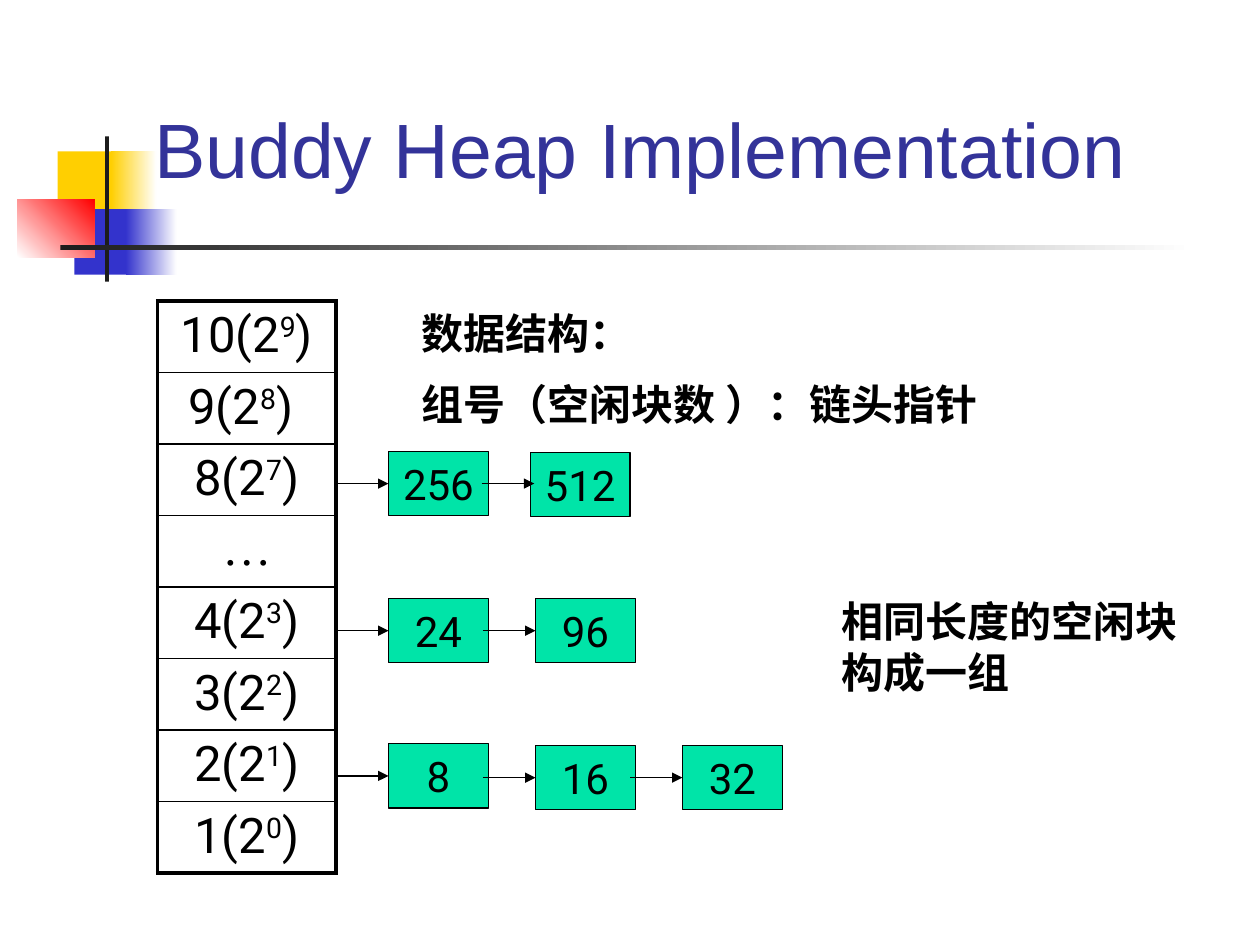
from typing import NamedTuple, Optional

from lxml import etree
from pptx import Presentation
from pptx.dml.color import RGBColor
from pptx.enum.shapes import MSO_CONNECTOR, MSO_SHAPE
from pptx.enum.text import MSO_ANCHOR, PP_ALIGN
from pptx.oxml.ns import qn
from pptx.util import Pt

RECT = MSO_SHAPE.RECTANGLE
STRAIGHT = MSO_CONNECTOR.STRAIGHT
CENTER = PP_ALIGN.CENTER
MIDDLE = MSO_ANCHOR.MIDDLE
LEFT_SIDE = 1

BLACK, WHITE = "000000", "FFFFFF"
YELLOW, BLUE, RED, CHARCOAL = "FFCF01", "3333CC", "FF0000", "1C1C1C"
BLOCK_GREEN, TITLE_BLUE = "00E4A8", "333399"

TABLE_LEFT, TABLE_TOP, TABLE_WIDTH, ROW_HEIGHT = 90, 172, 102, 40.86
BLOCK_LEFT, BLOCK_STEP, BLOCK_WIDTH, BLOCK_HEIGHT = 222, 84, 57, 36.75
ARROW_REACH = 30


class Ornament(NamedTuple):
    left: float
    top: float
    width: float
    height: float
    start: str
    end: Optional[str] = None
    angle: float = 0


class Group(NamedTuple):
    number: str
    exponent: str
    closing: str = ")"


class Block(NamedTuple):
    label: str
    column: int
    top: float
    shift: float = 0
    arrow_overlap: float = 0


class Note(NamedTuple):
    left: float
    top: float
    width: float
    height: float
    lines: tuple[str, ...]


ORNAMENTS = [
    Ornament(33, 86.5, 34.5, 37.5, YELLOW),
    Ornament(63.5, 86.5, 26, 37.5, YELLOW, WHITE),
    Ornament(42.5, 119.5, 33, 37.5, BLUE),
    Ornament(72, 119.5, 29, 37.5, BLUE, WHITE),
    Ornament(10, 114, 44, 33, WHITE, RED, 45),
    Ornament(60, 78, 2.3, 83, CHARCOAL),
    Ornament(34.5, 140.2, 648, 2.4, CHARCOAL, WHITE),
]
GROUPS = [
    Group("10", "9"), Group("9", "8", ") "), Group("8", "7"), None,
    Group("4", "3"), Group("3", "2"), Group("2", "1"), Group("1", "0"),
]
BLOCKS = [
    Block("24", 0, 342), Block("96", 1, 342),
    Block("8", 0, 425), Block("16", 1, 426), Block("32", 2, 426),
    Block("256", 0, 258), Block("512", 1, 258.5, shift=-3, arrow_overlap=2.3),
]
NOTES = [
    Note(234, 172, 438, 79, ("数据结构：", "组号（空闲块数 ）：链头指针")),
    Note(474, 337, 210, 65, ("相同长度的空闲块构成一组",)),
]


def rgb(value: str) -> RGBColor:
    return RGBColor.from_string(value)


def style(font, size: float, color: str = BLACK, name: str = "Roboto", bold: bool = False) -> None:
    font.size, font.name, font.bold = Pt(size), name, bold
    font.color.rgb = rgb(color)


def draw_ornament(shapes, item: Ornament) -> None:
    patch = shapes.add_shape(RECT, Pt(item.left), Pt(item.top), Pt(item.width), Pt(item.height))
    patch.shadow.inherit = False
    patch.line.fill.background()
    if item.end is None:
        patch.fill.solid()
        patch.fill.fore_color.rgb = rgb(item.start)
        return
    patch.fill.gradient()
    patch.fill.gradient_angle = item.angle
    for stop, color, position in zip(patch.fill.gradient_stops, (item.start, item.end), (0, 1)):
        stop.color.rgb = rgb(color)
        stop.position = position


def set_borders(cell, widths: dict[str, float]) -> None:
    """Put black edges on a cell, ahead of its fill as the schema requires."""
    properties = cell._tc.get_or_add_tcPr()
    for index, (side, width) in enumerate(widths.items()):
        edge = etree.Element(qn(f"a:ln{side}"), w=str(Pt(width)))
        fill = etree.SubElement(edge, qn("a:solidFill"))
        etree.SubElement(fill, qn("a:srgbClr"), val=BLACK)
        properties.insert(index, edge)


def draw_group_table(shapes) -> None:
    count = len(GROUPS)
    frame = shapes.add_table(count, 1, Pt(TABLE_LEFT), Pt(TABLE_TOP),
                             Pt(TABLE_WIDTH), Pt(ROW_HEIGHT * count))
    table = frame.table
    table.first_row = table.horz_banding = False
    for index, group in enumerate(GROUPS):
        table.rows[index].height = Pt(ROW_HEIGHT)
        cell = table.cell(index, 0)
        cell.fill.background()
        set_borders(cell, {"L": 2.25, "R": 2.25,
                           "T": 2.25 if index == 0 else 1,
                           "B": 2.25 if index == count - 1 else 1})
        paragraph = cell.text_frame.paragraphs[0]
        paragraph.alignment = CENTER
        if group is None:
            paragraph.text = "…"
            style(paragraph.runs[0].font, 28, name="Times New Roman")
            continue
        for text in (f"{group.number}(2", group.exponent, group.closing):
            run = paragraph.add_run()
            run.text = text
            style(run.font, 28)
        paragraph.runs[1]._r.get_or_add_rPr().set("baseline", "30000")


def draw_block(shapes, block: Block) -> None:
    """Draw a free block and the arrow that leads to it."""
    left = BLOCK_LEFT + block.column * BLOCK_STEP + block.shift
    box = shapes.add_shape(RECT, Pt(left), Pt(block.top), Pt(BLOCK_WIDTH), Pt(BLOCK_HEIGHT))
    box.shadow.inherit = False
    box.fill.solid()
    box.fill.fore_color.rgb = rgb(BLOCK_GREEN)
    box.line.color.rgb = rgb(BLACK)
    box.line.width = Pt(0.75)
    frame = box.text_frame
    frame.word_wrap = False
    frame.vertical_anchor = MIDDLE
    frame.text = block.label
    frame.paragraphs[0].alignment = CENTER
    style(frame.paragraphs[0].runs[0].font, 24)

    middle = block.top + BLOCK_HEIGHT / 2 - block.arrow_overlap / 4
    end = left + block.arrow_overlap
    arrow = shapes.add_connector(STRAIGHT, Pt(end - ARROW_REACH), Pt(middle), Pt(end), Pt(middle))
    if not block.arrow_overlap:
        arrow.end_connect(box, LEFT_SIDE)
    arrow.line.color.rgb = rgb(BLACK)
    arrow.line.width = Pt(0.75)
    etree.SubElement(arrow.line._get_or_add_ln(), qn("a:tailEnd"), type="triangle")
    etree.SubElement(arrow._element.spPr, qn("a:effectLst"))


def draw_note(shapes, note: Note) -> None:
    frame = shapes.add_textbox(Pt(note.left), Pt(note.top), Pt(note.width), Pt(note.height)).text_frame
    frame.word_wrap = True
    frame.text = "\n".join(note.lines)
    for index, paragraph in enumerate(frame.paragraphs):
        if index:
            paragraph.space_before = Pt(12)
        style(paragraph.runs[0].font, 24, bold=True)


def draw_title(shapes) -> None:
    frame = shapes.add_textbox(Pt(60), Pt(43), Pt(612), Pt(83)).text_frame
    frame.word_wrap = True
    frame.vertical_anchor = MIDDLE
    frame.text = "Buddy Heap Implementation"
    frame.paragraphs[0].alignment = CENTER
    style(frame.paragraphs[0].runs[0].font, 44, TITLE_BLUE, "Arial")


def main() -> None:
    deck = Presentation()
    deck.slide_width, deck.slide_height = Pt(720), Pt(540)
    shapes = deck.slides.add_slide(deck.slide_layouts[6]).shapes
    for ornament in ORNAMENTS:
        draw_ornament(shapes, ornament)
    draw_group_table(shapes)
    draw_title(shapes)
    for block in BLOCKS:
        draw_block(shapes, block)
    for note in NOTES:
        draw_note(shapes, note)
    deck.save("out.pptx")


if __name__ == "__main__":
    main()
